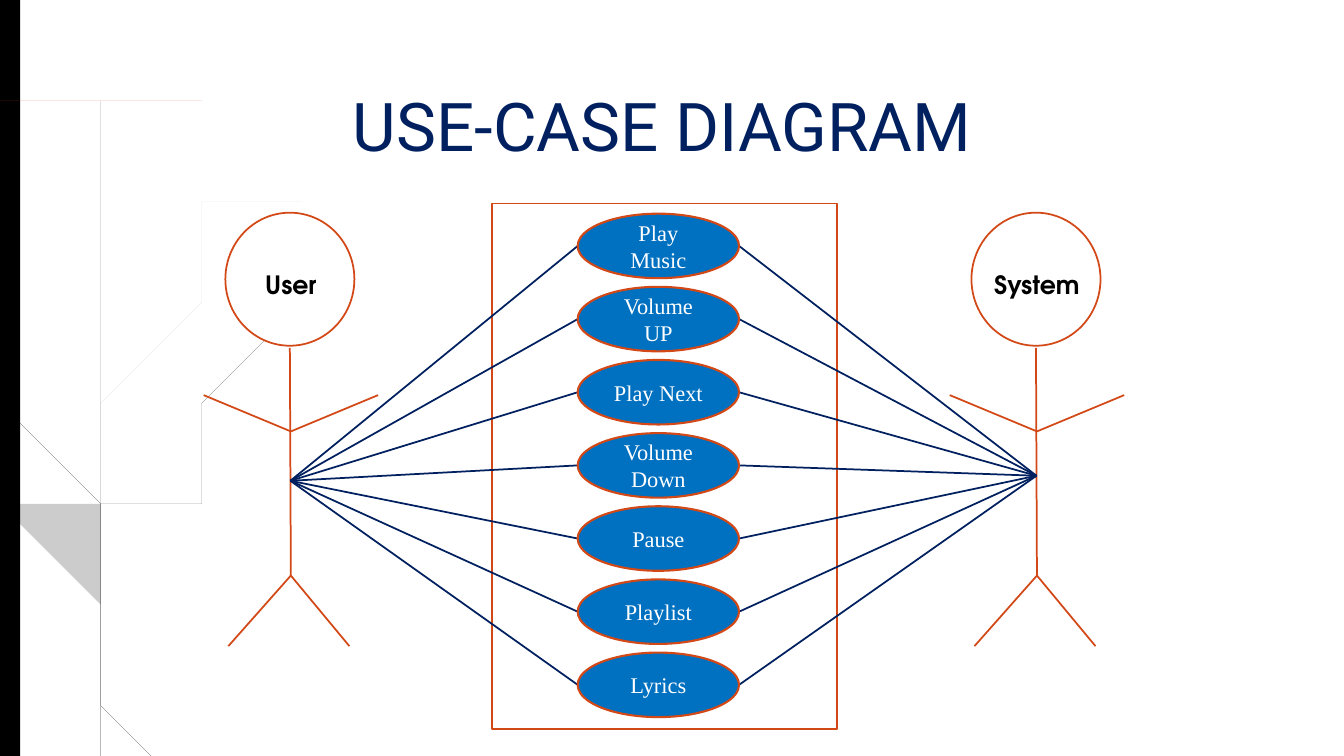
from lxml import etree
from pptx import Presentation, util as u
from pptx.dml.color import RGBColor
from pptx.enum import shapes, text
from pptx.oxml.ns import qn

ORANGE = RGBColor(0xD3, 0x48, 0x17)
NAVY = RGBColor(0x00, 0x20, 0x60)
BLUE = RGBColor(0x00, 0x70, 0xC0)
BLACK = RGBColor(0, 0, 0)
GREY = RGBColor(0xCC, 0xCC, 0xCC)
WHITE = RGBColor(255, 255, 255)

USE_CASES = ["Play Music", "Volume UP", "Play Next", "Volume Down",
             "Pause", "Playlist", "Lyrics"]
SYSTEM_BOX = (4.88, 2.02, 3.42, 5.21)
USER_BOX = (2.02, 2.11, 1.73, 4.3)
ACTOR_BOX = (9.42, 2.11, 1.73, 4.3)
USER_HUB = (2.88, 4.77)
ACTOR_HUB = (10.28, 4.72)

# Each wisp is a list of (centre x, y, width), from its top to its foot.
GREY_WISPS = [
    [(0.05, 3.2, 0.04), (0.14, 3.62, 0.04), (0.3, 4.7, 0.03), (0.68, 6.2, 0.05),
     (0.94, 6.88, 0.04), (1.18, 7.5, 0.09)],
    [(0.15, 3.5, 0.01), (0.6, 5.21, 0.04), (0.88, 6.02, 0.05),
     (1.25, 6.93, 0.04), (1.53, 7.5, 0.05)],
    [(3.12, 1.53, 0), (2.28, 2.45, 0.02), (1.59, 3.48, 0.03),
     (1.08, 4.62, 0.03), (0.87, 5.84, 0.03), (0.89, 6.46, 0.04),
     (1.04, 7.1, 0.04), (1.21, 7.5, 0.06)],
]
BLACK_WISPS = [
    [(0.04, 0, 0.01), (0.08, 1.1, 0.01), (0.18, 2.33, 0.02),
     (0.35, 3.55, 0.03), (0.57, 4.65, 0.03), (0.7, 5.57, 0.04), (0.96, 6.58, 0.05),
     (1.17, 7.22, 0.02), (1.29, 7.5, 0.04)],
    [(0.7, 1.41, 0), (0.57, 2.45, 0.02), (0.53, 3.49, 0.02),
     (0.57, 4.51, 0.03), (0.91, 5.91, 0.05), (1.1, 6.45, 0.05),
     (1.34, 7.07, 0.04), (1.55, 7.5, 0.05)],
    [(2.61, 3.44, 0), (2.04, 4.06, 0.01), (1.57, 4.75, 0.02),
     (1.23, 5.52, 0.03), (1.08, 6.35, 0.04), (1.12, 6.91, 0.05),
     (1.33, 7.5, 0.06)],
]


def inches(*lengths):
    return [u.Inches(length) for length in lengths]


def paint(shape, fill, line=None, width=1.25):
    shape.shadow.inherit = False
    shape.fill.solid()
    shape.fill.fore_color.rgb = fill
    if line is None:
        shape.line.fill.background()
    else:
        shape.line.color.rgb = line
        shape.line.width = u.Pt(width)


def add_preset(slide, kind, box, fill, line=None, width=1.25):
    shape = slide.shapes.add_shape(kind, *inches(*box))
    paint(shape, fill, line, width)
    return shape


def add_outline(slide, points, fill):
    builder = slide.shapes.build_freeform(*points[0], scale=914400)
    builder.add_line_segments(points[1:], close=True)
    paint(builder.convert_to_shape(), fill)


def add_line(slide, start, end, color):
    line = slide.shapes.add_connector(
        shapes.MSO_CONNECTOR.STRAIGHT, *inches(*start, *end))
    line.line.color.rgb = color
    line.line.width = u.Pt(1.25)
    etree.SubElement(line._element.spPr, qn("a:effectLst"))


def write(shape, words, size, font, color, bold=False):
    frame = shape.text_frame
    frame.vertical_anchor = text.MSO_ANCHOR.MIDDLE
    paragraph = frame.paragraphs[0]
    paragraph.text = words
    paragraph.alignment = text.PP_ALIGN.CENTER
    paragraph.font.size = u.Pt(size)
    paragraph.font.name = font
    paragraph.font.color.rgb = color
    paragraph.font.bold = bold


def smooth(nodes):
    """Return nodes with a Catmull-Rom midpoint between each two."""
    padded = [nodes[0], *nodes, nodes[-1]]
    curve = []
    for a, b, c, d in zip(padded, padded[1:], padded[2:], padded[3:]):
        midpoint = [(9 * (q + r) - p - s) / 16 for p, q, r, s in zip(a, b, c, d)]
        curve += [b, midpoint]
    return curve + [nodes[-1]]


def add_wisps(slide, wisps, color):
    for wisp in wisps:
        curve = smooth(wisp)
        left = [(x - width / 2, y) for x, y, width in curve]
        right = [(x + width / 2, y) for x, y, width in reversed(curve)]
        add_outline(slide, left + right, color)


def add_backdrop(slide):
    add_wisps(slide, GREY_WISPS, GREY)
    add_wisps(slide, BLACK_WISPS, BLACK)
    add_preset(slide, shapes.MSO_SHAPE.RECTANGLE, (0, 0, 0.2, 7.5), BLACK)
    add_outline(slide, [(0, 0.78), (1.47, 0.78), (1.73, 1.04), (1.74, 1.06),
                        (1.73, 1.08), (1.47, 1.34), (0, 1.33)], ORANGE)


def add_title(slide, box, words):
    title = slide.shapes.title
    title.left, title.top, title.width, title.height = inches(*box)
    write(title, words, 48, "Roboto", NAVY)


def add_actor(slide, box, name):
    left, top, width, height = box
    middle = left + width / 2
    shoulder, hip = top + 2.17, top + 3.6
    add_preset(slide, shapes.MSO_SHAPE.OVAL,
               (middle - 0.65, top, 1.28, 1.32), WHITE, ORANGE)
    add_line(slide, (middle - 0.01, top + 1.34), (middle, hip), ORANGE)
    for foot in (middle - 0.62, middle + 0.58):
        add_line(slide, (middle, hip), (foot, top + height), ORANGE)
    for hand in (left, left + width):
        add_line(slide, (middle, shoulder), (hand, top + 1.81), ORANGE)
    label = slide.shapes.add_textbox(*inches(middle - 0.53, top + 0.51, 1.06, 0.4))
    label.text_frame.word_wrap = False
    write(label, name, 18, "TeX Gyre Adventor", BLACK, bold=True)


def add_use_cases(slide, box, names, left_hub, right_hub):
    """Stack the ovals in the box and link each one to both hubs."""
    left, top, width, height = box
    add_preset(slide, shapes.MSO_SHAPE.RECTANGLE, box, WHITE, ORANGE)
    oval_left, oval_width, oval_height = left + 0.85, 1.6, 0.64
    pitch = (height - 0.13) / len(names)
    for index, name in enumerate(names):
        oval_top = top + 0.1 + index * pitch
        centre = oval_top + oval_height / 2
        add_line(slide, left_hub, (oval_left, centre), NAVY)
        add_line(slide, (oval_left + oval_width, centre), right_hub, NAVY)
        oval = add_preset(slide, shapes.MSO_SHAPE.OVAL,
                          (oval_left, oval_top, oval_width, oval_height),
                          BLUE, ORANGE, 1.5)
        write(oval, name, 16, "Times New Roman", WHITE)


def main():
    presentation = Presentation()
    presentation.slide_width, presentation.slide_height = inches(13.33, 7.5)
    slide = presentation.slides.add_slide(presentation.slide_layouts[5])
    add_backdrop(slide)
    add_title(slide, (3.32, 0.78, 6.5, 0.91), "USE-CASE DIAGRAM")
    add_actor(slide, USER_BOX, "User")
    add_actor(slide, ACTOR_BOX, "System")
    add_use_cases(slide, SYSTEM_BOX, USE_CASES, USER_HUB, ACTOR_HUB)
    presentation.save("out.pptx")


if __name__ == "__main__":
    main()
